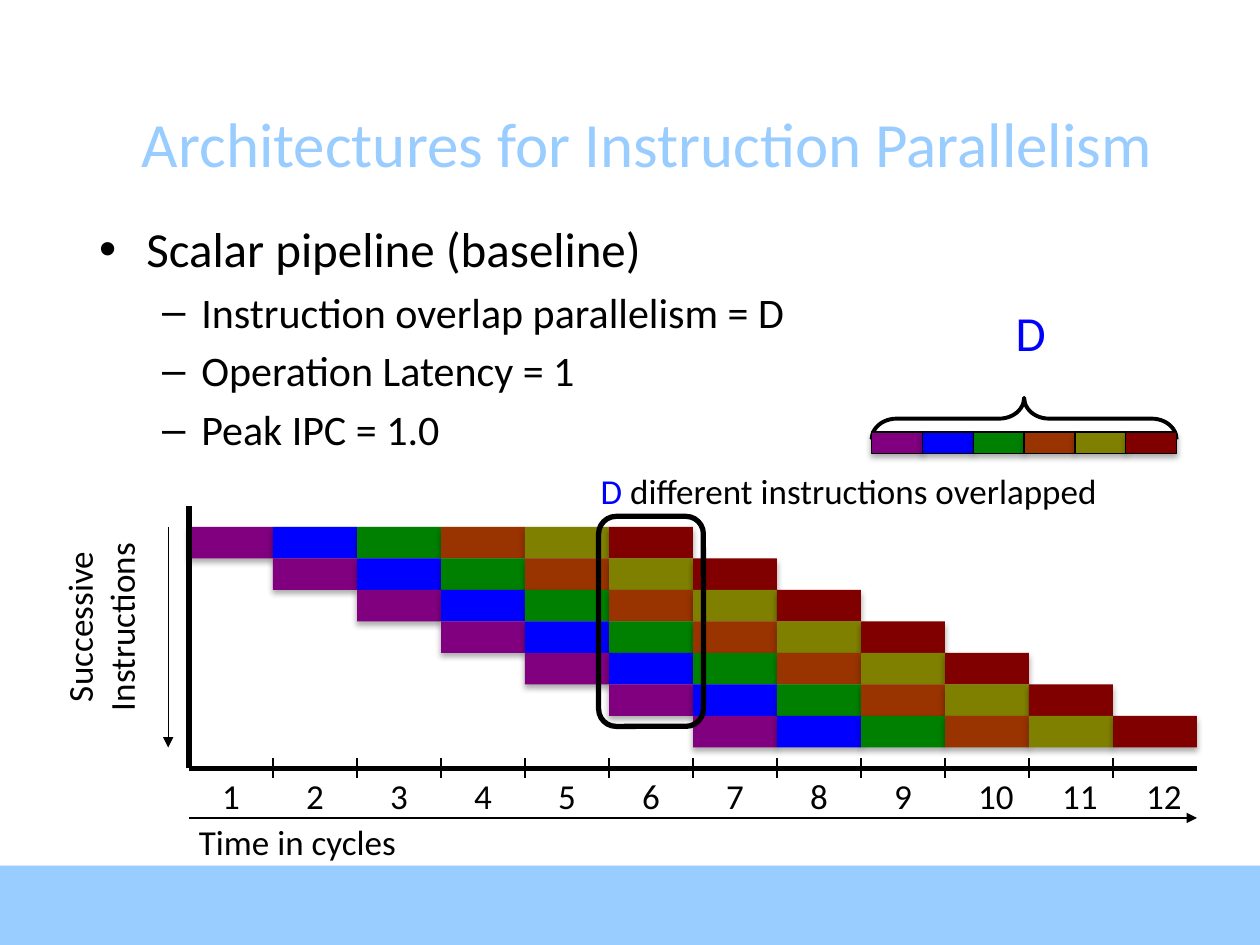
import pptx
import pptx.util
import pptx.dml.color
import pptx.enum.shapes
import pptx.enum.text
import pptx.oxml
import pptx.oxml.ns
from lxml import etree

Cm = pptx.util.Cm
Pt = pptx.util.Pt
KIND = pptx.enum.shapes.MSO_SHAPE
ALIGN = pptx.enum.text.PP_ALIGN
HUES = {"sky": "99CCFF", "ink": "000000", "mark": "0000FF"}
STAGES = {"fetch": "800080", "decode": "0000FF", "read": "008000",
          "run": "993300", "store": "808000", "retire": "800000"}
FACE = "Calibri"


def tint(code):
    """Turn a hex string into a colour."""
    return pptx.dml.color.RGBColor.from_string(code)


def node(parent, tag, **attrs):
    """Append a drawing element to a parent element."""
    return etree.SubElement(parent, pptx.oxml.ns.qn(tag), attrs)


def shade(shape, alpha, blur, dist):
    """Give a shape a soft shadow that falls straight down."""
    effects = shape._element.spPr.find(pptx.oxml.ns.qn("a:effectLst"))
    outer = node(effects, "a:outerShdw", blurRad=str(Pt(blur)), dist=str(Pt(dist)),
                 dir="5400000", algn="ctr", rotWithShape="0")
    color = node(outer, "a:srgbClr", val=HUES["ink"])
    node(color, "a:alpha", val=str(alpha * 1000))


def form(shapes, kind, box, fill=None, line=None):
    """Add a preset shape with an optional fill and line width."""
    shape = shapes.add_shape(kind, *[Cm(n) for n in box])
    shape.shadow.inherit = False
    if fill:
        shape.fill.solid()
        shape.fill.fore_color.rgb = tint(fill)
    else:
        shape.fill.background()
    if line:
        shape.line.color.rgb = tint(HUES["ink"])
        shape.line.width = Pt(line)
    else:
        shape.line.fill.background()
    return shape


def rule(shapes, start, end, width=0.75, arrow=False):
    """Draw a straight line, with an arrowhead at its end if asked."""
    line = shapes.add_connector(pptx.enum.shapes.MSO_CONNECTOR.STRAIGHT,
                                *[Cm(n) for n in (*start, *end)])
    line.line.color.rgb = tint(HUES["ink"])
    line.line.width = Pt(width)
    if arrow:
        node(line.line._get_or_add_ln(), "a:tailEnd", type="triangle")
    node(line._element.spPr, "a:effectLst")


def style(run, size, hue):
    """Set the face, size and colour of a run."""
    run.font.name = FACE
    run.font.size = Pt(size)
    run.font.color.rgb = tint(HUES[hue])


def label(shapes, box, text, size=20, hue="ink", align=ALIGN.LEFT, wrap=False):
    """Add a text box with one style throughout."""
    shape = shapes.add_textbox(*[Cm(n) for n in box])
    frame = shape.text_frame
    frame.word_wrap = wrap
    frame.text = text
    for para in frame.paragraphs:
        para.alignment = align
        for run in para.runs:
            style(run, size, hue)
    return shape


def header(shapes, box):
    """Place the title."""
    shape = label(shapes, box, "Architectures for Instruction Parallelism",
                  36, "sky", ALIGN.CENTER, True)
    shape.text_frame.vertical_anchor = pptx.enum.text.MSO_ANCHOR.MIDDLE


def points(shapes, box):
    """Place the bullet list."""
    text = ("Scalar pipeline (baseline)\nInstruction overlap parallelism = D\n"
            "Operation Latency = 1\nPeak IPC = 1.0")
    frame = label(shapes, box, text, 24, wrap=True).text_frame
    for i, para in enumerate(frame.paragraphs):
        left, hang, mark = (2.06, 0.79, "–") if i else (0.95, 0.95, "•")
        props = para._p.get_or_add_pPr()
        props.set("marL", str(Cm(left)))
        props.set("indent", str(-Cm(hang)))
        node(props, "a:buFont", typeface="Arial")
        node(props, "a:buChar", char=mark)
        if i:
            para.space_before = Pt(4.8)
            para.level = 1
    frame.paragraphs[0].runs[0].font.size = Pt(28)


def depth(shapes, box):
    """Place the six-stage strip with its brace and the letter D."""
    x, y, w, h = box
    label(shapes, (x + w / 2 - 0.5, y, 1.27, 1.45), "D", 28, "mark", ALIGN.CENTER)
    tall = 0.84
    brace = form(shapes, KIND.LEFT_BRACE,
                 (x + (w - tall) / 2, y + 2.05 - (w - tall) / 2, tall, w), line=2.25)
    brace.adjustments[0] = 0.6
    brace.rotation = 90
    strip = shapes.add_group_shape()
    step = w / len(STAGES)
    for i, hue in enumerate(STAGES.values()):
        cell = form(strip.shapes, KIND.RECTANGLE,
                    (x + i * step, y + h - 0.43, step, 0.43), hue, 0.75)
        shade(cell, 32, 3.5, 2.2)


def chart(shapes, box):
    """Place the pipeline diagram with its axes and labels."""
    x, y, w, h = box
    cycles, rows, pad = 12, 7, 0.42
    step, tall = w / cycles, (h - 2 * pad) / rows
    base, top = y + h, y + pad
    for row in range(rows):
        for col, hue in enumerate(STAGES.values(), row):
            cell = form(shapes, KIND.RECTANGLE,
                        (x + col * step, top + row * tall, step, tall), hue)
            shade(cell, 32, 3.5, 2.2)
    rule(shapes, (x, y), (x, base), 3)
    rule(shapes, (x + w, base), (x, base), 3)
    rule(shapes, (x - pad, top), (x - pad, base - pad), arrow=True)
    rule(shapes, (x, base + 1), (x + w, base + 1), arrow=True)
    side = label(shapes, (x - 2.77, y + 0.61, 2.24, 3.66),
                 "Successive\nInstructions", align=ALIGN.CENTER)
    side.text_frame._txBody.bodyPr.set("vert", "vert270")
    label(shapes, (x - 0.05, base + 0.92, 4.6, 1.12), "Time in cycles")
    for i in range(cycles):
        left = x + i * step
        if i:
            rule(shapes, (left, base - 0.2), (left, base + 0.2))
        label(shapes, (left + pad, base, 0.86 if i < 9 else 1.22, 1.12), str(i + 1))
    form(shapes, KIND.ROUNDED_RECTANGLE,
         (x + 5 * step - 0.21, top - 0.21, step + 0.42, 6 * tall + 0.42), line=3)
    note = label(shapes, (x + 8.05, y - 0.86, 10.62, 1.12), "D", hue="mark")
    run = note.text_frame.paragraphs[0].add_run()
    run.text = " different instructions overlapped"
    style(run, 20, "ink")


def main():
    """Build and save the slide."""
    deck = pptx.Presentation()
    deck.slide_width, deck.slide_height = Cm(25.4), Cm(19.05)
    shapes = deck.slides.add_slide(deck.slide_layouts[6]).shapes
    band = form(shapes, KIND.RECTANGLE, (0, 17.45, 25.4, 1.6), HUES["sky"])
    shade(band, 35, 3.1, 1.8)
    header(shapes, (1.75, 1.88, 22.6, 1.96))
    points(shapes, (1.75, 4.29, 21.9, 12.88))
    depth(shapes, (17.57, 5.97, 6.15, 3.17))
    chart(shapes, (3.81, 10.2, 20.32, 5.29))
    deck.save("out.pptx")


if __name__ == "__main__":
    main()
